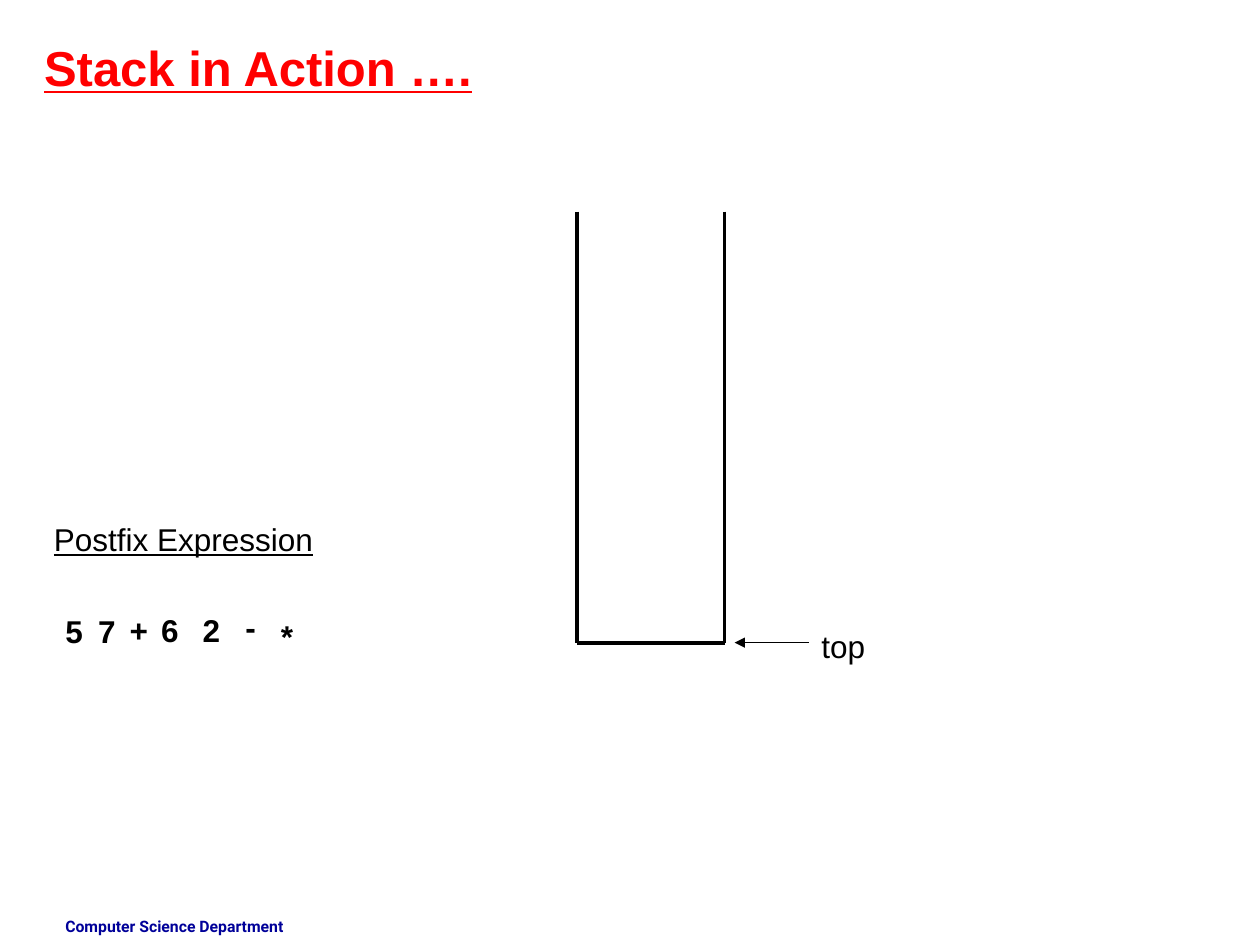
from lxml import etree
from pptx import Presentation
from pptx.dml.color import RGBColor
from pptx.enum.shapes import MSO_CONNECTOR
from pptx.enum.text import MSO_ANCHOR, MSO_AUTO_SIZE, PP_ALIGN
from pptx.oxml.ns import qn
from pptx.util import Inches, Pt

STRAIGHT = MSO_CONNECTOR.STRAIGHT
TOP = MSO_ANCHOR.TOP
LEFT = PP_ALIGN.LEFT
NO_FIT = MSO_AUTO_SIZE.NONE
BLACK, RED, NAVY = (RGBColor.from_string(c) for c in ("000000", "FF0000", "000099"))


def write(box, place, text, color=BLACK, **font_values):
    """Place a text shape and fill it with one formatted line."""
    box.left, box.top, box.width, box.height = (Inches(v) for v in place)
    frame = box.text_frame
    frame.word_wrap = True
    frame.auto_size = NO_FIT
    frame.vertical_anchor = TOP
    para = frame.paragraphs[0]
    para.alignment = LEFT
    span = para.add_run()
    span.text = text
    for name, value in ({"name": "Arial", "size": Pt(18)} | font_values).items():
        setattr(span.font, name, value)
    span.font.color.rgb = color


def draw_line(shapes, start, end, weight):
    """Draw a black line without shadow between two points."""
    line = shapes.add_connector(STRAIGHT, *(Inches(v) for v in start + end))
    line.line.color.rgb = BLACK
    line.line.width = Pt(weight)
    etree.SubElement(line._element.spPr, qn("a:effectLst"))
    return line


deck = Presentation()
deck.slide_width, deck.slide_height = Inches(10), Inches(7.5)
page = deck.slides.add_slide(deck.slide_layouts[5])
shapes = page.shapes

# Title
write(shapes.title, (0.25, 0.25, 6.58, 0.57), "Stack in Action ….", RED,
      size=Pt(28), bold=True, underline=True)

# Empty stack, open at the top
stack_left, stack_right, stack_top, stack_bottom = 4.58, 5.75, 1.68, 5.1
stack = shapes.add_group_shape()
for start, end in (
    ((stack_left, stack_top), (stack_left, stack_bottom)),
    ((stack_right, stack_top), (stack_right, stack_bottom)),
    ((stack_left, stack_bottom), (stack_right, stack_bottom)),
):
    draw_line(stack.shapes, start, end, 2.25)

# Pointer to the top of the stack
pointer = shapes.add_group_shape()
write(pointer.shapes.add_textbox(0, 0, 0, 0), (6.42, 4.93, 1.5, 0.4), "top")
arrow = draw_line(pointer.shapes, (6.42, stack_bottom), (5.83, stack_bottom), 0.75)
etree.SubElement(arrow.line._get_or_add_ln(), qn("a:tailEnd"), type="triangle")

# Postfix expression, one box for each token
write(shapes.add_textbox(0, 0, 0, 0), (0.33, 4.08, 2.75, 0.4),
      "Postfix Expression", underline=True)
for token, left, top, width in (
    ("5", 0.42, 4.81, 0.33),
    ("7", 0.68, 4.81, 0.42),
    ("+", 0.93, 4.8, 0.33),
    ("6", 1.18, 4.8, 0.33),
    ("2", 1.51, 4.8, 0.42),
    ("-", 1.85, 4.78, 0.33),
    ("*", 2.13, 4.85, 0.42),
):
    write(shapes.add_textbox(0, 0, 0, 0), (left, top, width, 0.4), token, bold=True)

# Footer
write(shapes.add_textbox(0, 0, 0, 0), (0.42, 7.23, 2.33, 0.27),
      "Computer Science Department", NAVY, name="Roboto", size=Pt(9), bold=True)

deck.save("out.pptx")
